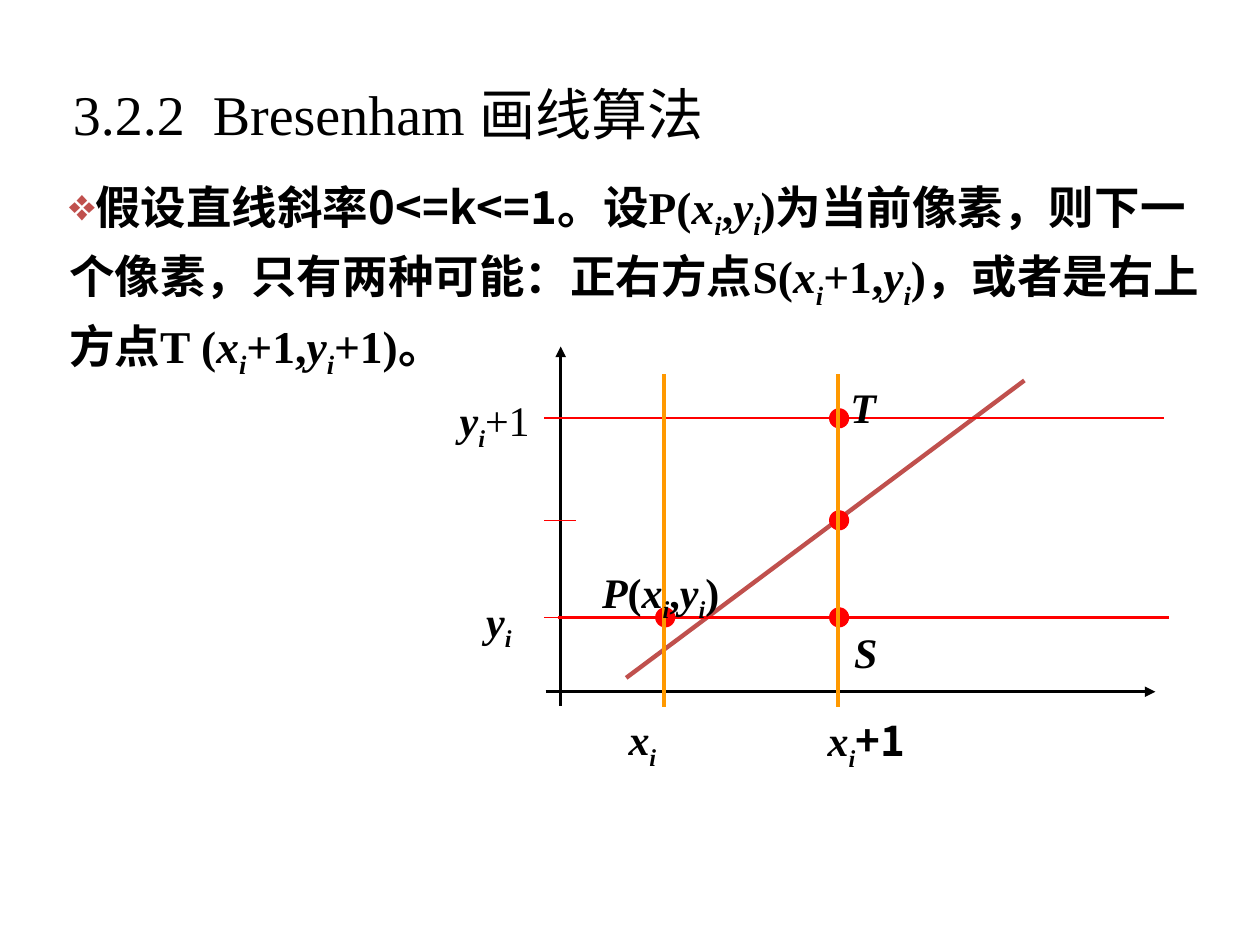
from lxml import etree
from pptx import Presentation, util as u
from pptx.dml.color import RGBColor
from pptx.enum import shapes, text
from pptx.oxml.ns import qn

INCH = 2.54
COLOURS = {"ink": "000000", "brick": "C0504D", "red": "FF0000", "orange": "FF9900"}
SERIF, SANS = "Times New Roman", "Noto Sans CJK SC"

deck = Presentation()
deck.slide_width, deck.slide_height = u.Cm(25.4), u.Cm(19.05)
page = deck.slides.add_slide(deck.slide_layouts[6])


def add_text(place, runs, size, wrap=True, **paragraph_format):
    """Runs are (text, flags, font); flags: b bold, i italic, s subscript."""
    box = page.shapes.add_textbox(*(u.Cm(value * INCH) for value in place))
    box.text_frame.word_wrap = wrap
    para = box.text_frame.paragraphs[0]
    for name, value in paragraph_format.items():
        setattr(para, name, value)
    for words, flags, font in runs:
        span = para.add_run()
        span.text = words
        settings = {"name": font, "size": u.Pt(size),
                    "bold": "b" in flags, "italic": "i" in flags}
        for name, value in settings.items():
            setattr(span.font, name, value)
        span.font.color.rgb = RGBColor.from_string(COLOURS["ink"])
        properties = span._r.get_or_add_rPr()
        if "s" in flags:
            properties.set("baseline", "-25000")
        east_asian = etree.SubElement(properties, qn("a:ea"))
        east_asian.set("typeface", SANS)
    return box


def add_line(start, end, colour, width, arrow=False):
    points = [u.Cm(value * INCH) for value in (*start, *end)]
    line = page.shapes.add_connector(shapes.MSO_CONNECTOR.STRAIGHT, *points)
    line.line.color.rgb = RGBColor.from_string(COLOURS[colour])
    line.line.width = u.Pt(width)
    if arrow:
        tail = etree.SubElement(line.line._get_or_add_ln(), qn("a:tailEnd"))
        tail.set("type", "triangle")
    etree.SubElement(line._element.spPr, qn("a:effectLst"))


X = [("x", "bi", SERIF), ("i", "bis", SERIF)]
Y = [("y", "bi", SERIF), ("i", "bis", SERIF)]
COMMA = [(",", "b", SERIF)]
PLUS_COMMA = [("+1,", "b", SERIF)]

# Statement of the algorithm
statement = [
    ("假设直线斜率0<=k<=1。设", "b", SANS), ("P(", "b", SERIF), *X, *COMMA, *Y,
    (")为当前像素，则下一个像素，只有", "b", SERIF), ("两种可能：", "b", SANS),
    ("正右方点S(", "b", SERIF), *X, *PLUS_COMMA, *Y,
    (")，或者是右上方点T (", "b", SERIF), *X, *PLUS_COMMA, *Y, ("+1)。", "b", SERIF),
]
body = add_text((0.45, 1.31, 9.19, 2.73), statement, 26,
                line_spacing=1.12, space_before=u.Pt(3))
bullet_properties = body.text_frame.paragraphs[0]._p.get_or_add_pPr()
bullet_properties.set("marL", "0")
bullet_properties.set("indent", "0")
bullet_colour = etree.SubElement(bullet_properties, qn("a:buClr"))
etree.SubElement(bullet_colour, qn("a:srgbClr")).set("val", COLOURS["brick"])
etree.SubElement(bullet_properties, qn("a:buChar")).set("char", "❖")

# Axes and the ideal line
add_line((4.45, 5.6), (4.45, 2.75), "ink", 2, arrow=True)
add_line((4.33, 5.49), (9.17, 5.49), "ink", 2, arrow=True)
add_line((4.97, 5.38), (8.13, 3.02), "brick", 2.5)

# Pixel grid
column_now, column_next = 5.27, 6.65
row_now, row_middle, row_next = 4.9, 4.13, 3.32
for row in (row_now, row_middle, row_next):
    add_line((4.32, row), (4.57, row), "red", 1)

# Candidate pixels lie under the grid lines
for x, y in ((column_next, row_now), (column_next, row_middle),
             (column_next, row_next), (column_now, row_now)):
    left, top = x - 0.07, y - 0.08
    dot = page.shapes.add_shape(shapes.MSO_SHAPE.OVAL, u.Cm(left * INCH), u.Cm(top * INCH),
                                u.Cm(0.16 * INCH), u.Cm(0.16 * INCH))
    dot.shadow.inherit = False
    dot.fill.solid()
    dot.fill.fore_color.rgb = RGBColor.from_string(COLOURS["red"])
    dot.line.fill.background()

add_line((4.43, row_now), (9.28, row_now), "red", 2)
add_line((4.39, row_next), (9.24, row_next), "red", 1)
for column in (column_next, column_now):
    add_line((column, 2.97), (column, 5.61), "orange", 2)

# Labels: place, runs, wrap, space before in points
labels = [
    ((3.76, 4.56, 0.41, 0.51), Y, False, 10),
    ((3.55, 2.97, 0.84, 0.51), [*Y, ("+1", "", SERIF)], True, 10),
    ((6.47, 5.51, 0.82, 0.51), [*X, ("+1", "b", SANS)], False, 4),
    ((4.89, 5.5, 0.43, 0.51), X, False, 10),
    ((6.68, 4.82, 0.39, 0.5), [("S", "bi", SERIF)], False, 10),
    ((6.65, 2.88, 0.41, 0.51), [("T", "bi", SERIF)], False, 10),
    ((4.68, 4.33, 1.16, 0.5),
     [("P", "bi", SERIF), ("(", "b", SERIF), *X, *COMMA, *Y, (")", "b", SERIF)], False, 10),
]
for place, runs, wrap, gap in labels:
    add_text(place, runs, 24, wrap, line_spacing=1.25, space_before=u.Pt(gap))

title = add_text((0.48, 0.27, 9, 1.25), [("3.2.2  Bresenham 画线算法", "", SERIF)], 32)
title.text_frame.vertical_anchor = text.MSO_ANCHOR.MIDDLE

deck.save("out.pptx")
